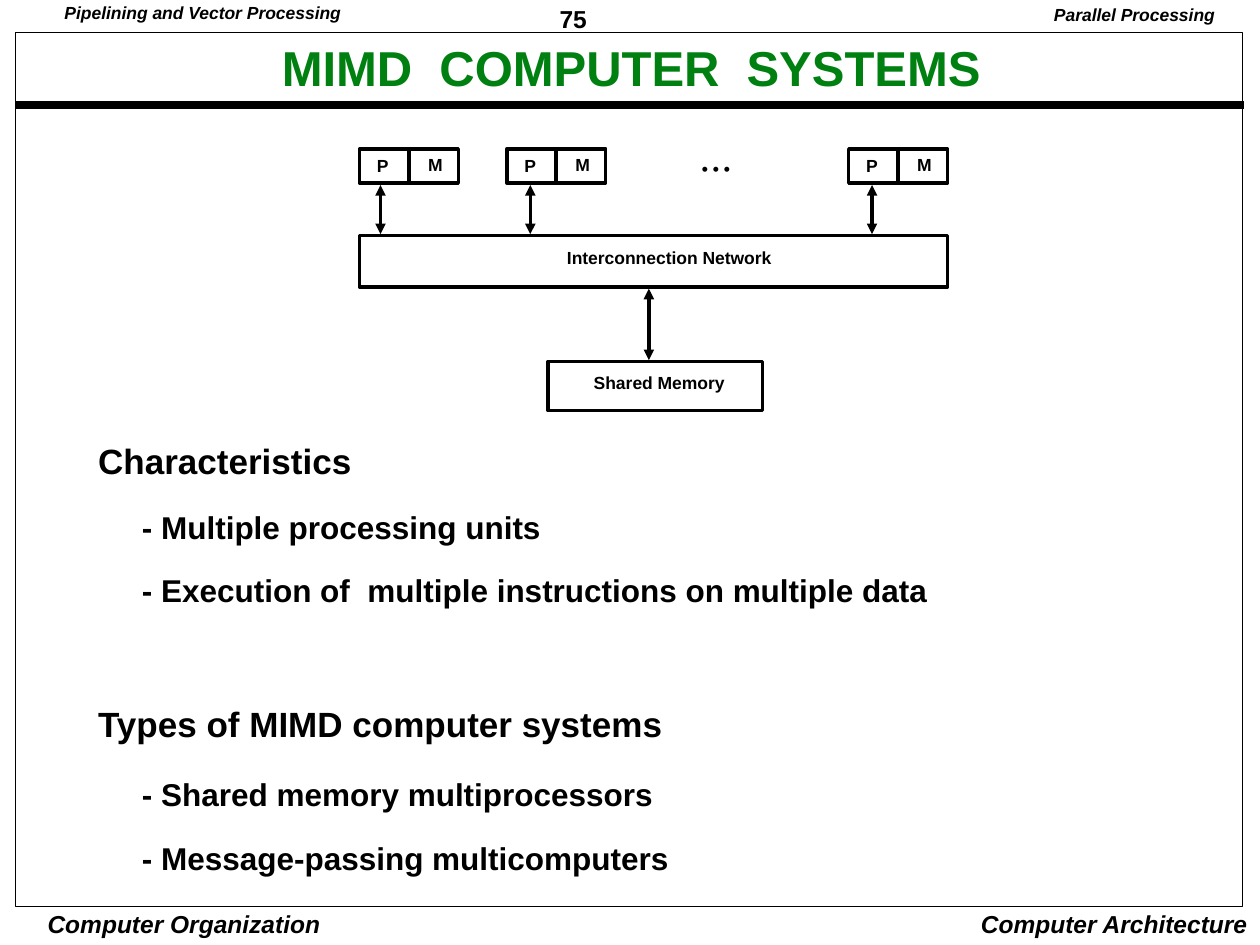
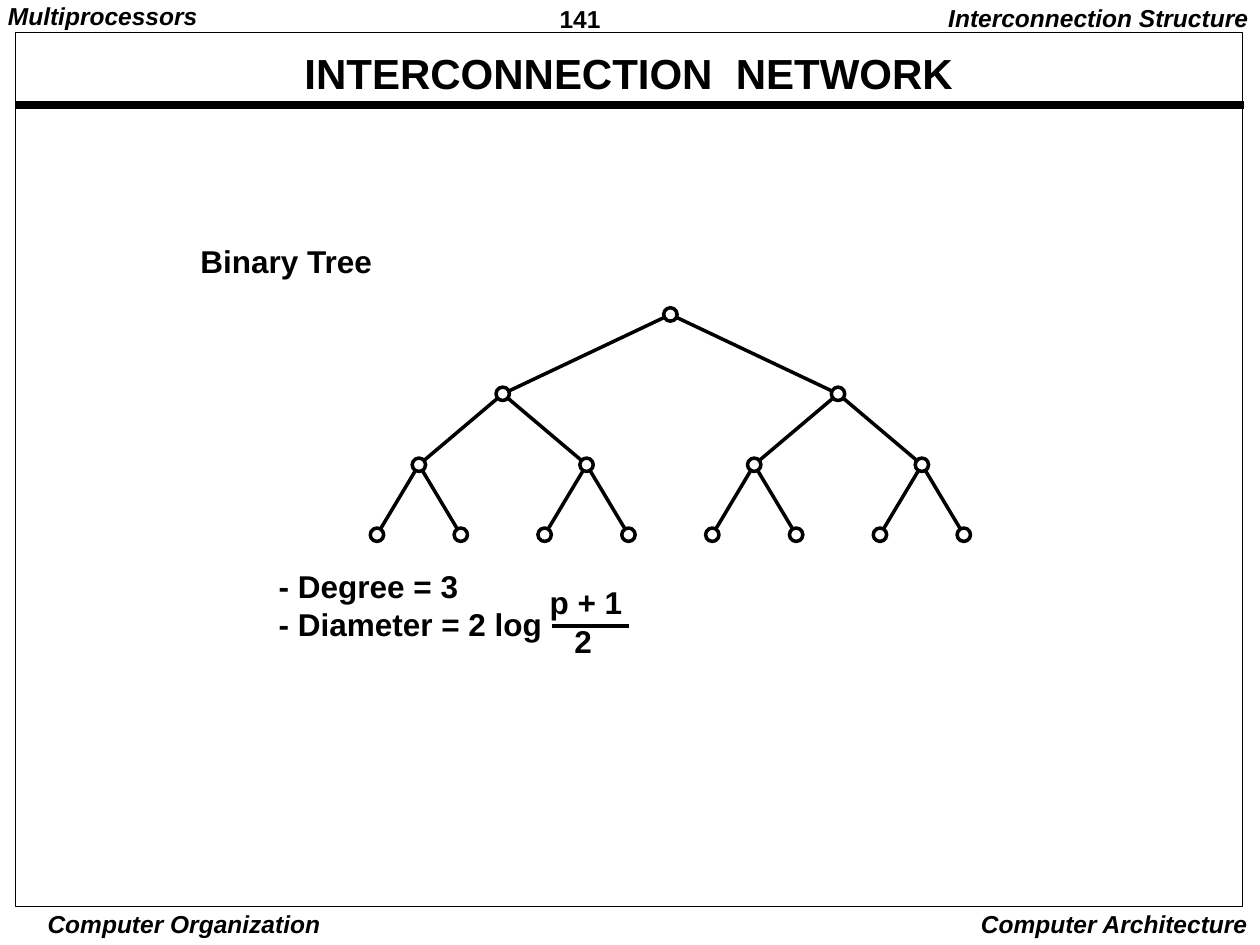
from pptx import Presentation
from pptx.dml.color import RGBColor
from pptx.enum.shapes import MSO_CONNECTOR as CONN, MSO_SHAPE as SHAPE
from pptx.enum.text import MSO_ANCHOR as ANCHOR, MSO_AUTO_SIZE as AUTO, PP_ALIGN as ALIGN
from pptx.oxml.ns import qn
from pptx.util import Cm, Pt
from lxml.etree import SubElement

BLACK, WHITE, GREEN = "000000", "FFFFFF", "008011"
WIDE_INSET, THIN_INSET = (0.25, 0.13), (0.08, 0.03)


def rgb(value):
    return RGBColor.from_string(value)


class Deck:
    font = "Arial"
    inset = (0.18, 0.08)

    def __init__(self):
        self.prs = Presentation()
        self.prs.slide_width, self.prs.slide_height = Cm(25.4), Cm(19.05)
        self.s = None

    def new_slide(self, number, title, box, size, color=BLACK):
        self.s = self.prs.slides.add_slide(self.prs.slide_layouts[5])
        self.text(11.1, 0, 2.74, 0.74, number, 14, spacing=1.01)
        self.text(0.63, 18.29, 6.16, 0.66, "Computer Organization", 14, italic=True,
                  align=ALIGN.CENTER, spacing=1, inset=THIN_INSET)
        self.text(19.2, 18.2, 6.2, 0.84, "Computer Architecture", 14, italic=True,
                  align=ALIGN.RIGHT, spacing=1, inset=WIDE_INSET)
        self.line(0.32, 2.11, 25.07, 2.11, 4.5)
        self.shape(SHAPE.RECTANGLE, 0.32, 0.66, 24.73, 17.62, 0.5)
        self.title(title, box, size, color)

    def title(self, text, box, size, color):
        sp = self.s.shapes.title
        sp.left, sp.top, sp.width, sp.height = map(Cm, box)
        tf = sp.text_frame
        tf.auto_size, tf.vertical_anchor = AUTO.NONE, ANCHOR.MIDDLE
        p = tf.paragraphs[0]
        p.alignment, p.line_spacing = ALIGN.CENTER, 0.9
        self.run(p, text, size, color)

    def run(self, p, text, size, color=BLACK, italic=False):
        r = p.add_run()
        r.text = text
        f = r.font
        f.name, f.size, f.bold, f.italic = self.font, Pt(size), True, italic
        f.color.rgb = rgb(color)

    def frame(self, x, y, w, h, inset=None):
        tf = self.s.shapes.add_textbox(Cm(x), Cm(y), Cm(w), Cm(h)).text_frame
        tf.word_wrap, tf.auto_size = True, AUTO.NONE
        dx, dy = map(Cm, inset or self.inset)
        tf.margin_left = tf.margin_right = dx
        tf.margin_top = tf.margin_bottom = dy
        return tf

    def text(self, x, y, w, h, text, size, italic=False, align=ALIGN.LEFT,
             spacing=0.9, inset=None):
        p = self.frame(x, y, w, h, inset).paragraphs[0]
        p.alignment, p.line_spacing = align, spacing
        self.run(p, text, size, italic=italic)

    def outline(self, x, y, w, h, items, spacing):
        tf = self.frame(x, y, w, h)
        for i, (text, size, indent, before) in enumerate(items):
            p = tf.paragraphs[0] if i == 0 else tf.add_paragraph()
            p._p.get_or_add_pPr().set("marL", str(Pt(indent)))
            p.line_spacing, p.space_before = spacing, Pt(before)
            self.run(p, text, size)

    def shape(self, kind, x, y, w, h, weight=2, fill=None):
        sp = self.s.shapes.add_shape(kind, Cm(x), Cm(y), Cm(w), Cm(h))
        sp.shadow.inherit = False
        if fill:
            sp.fill.solid()
            sp.fill.fore_color.rgb = rgb(fill)
        else:
            sp.fill.background()
        sp.line.color.rgb, sp.line.width = rgb(BLACK), Pt(weight)

    def line(self, x1, y1, x2, y2, weight=2, arrows=False):
        c = self.s.shapes.add_connector(CONN.STRAIGHT, Cm(x1), Cm(y1), Cm(x2), Cm(y2))
        c.line.color.rgb, c.line.width = rgb(BLACK), Pt(weight)
        if arrows:
            ln = c.line._get_or_add_ln()
            for end in ("a:headEnd", "a:tailEnd"):
                SubElement(ln, qn(end), type="triangle")
        SubElement(c._element.spPr, qn("a:effectLst"))

    def processor(self, x, arrow_x):
        self.shape(SHAPE.RECTANGLE, x, 3, 1.99, 0.69)
        self.line(x + 0.99, 2.97, x + 0.99, 3.73)
        self.text(x + 0.17, 3.1, 0.8, 0.53, "P", 10)
        self.text(x + 1.2, 3.07, 0.9, 0.53, "M", 10)
        self.line(arrow_x, 3.73, arrow_x, 4.72, arrows=True)

    def tree(self, left, step, levels, diameter):
        leaves = 2 ** (len(levels) - 1)
        rows = []
        for depth, y in enumerate(levels):
            span = leaves / 2 ** depth
            rows.append([(left + step * ((i + 0.5) * span - 0.5), y)
                         for i in range(2 ** depth)])
        for parents, children in zip(rows, rows[1:]):
            for i, child in enumerate(children):
                self.line(*parents[i // 2], *child)
        for x, y in sum(rows, []):
            self.shape(SHAPE.OVAL, x - diameter / 2, y - diameter / 2,
                       diameter, diameter, fill=WHITE)


def mimd_slide(deck):
    deck.new_slide("75", "MIMD  COMPUTER  SYSTEMS", (2.16, 0.72, 21.13, 1.4), 28, GREEN)
    deck.text(20.74, 0, 4, 0.64, "Parallel Processing", 10, italic=True,
              align=ALIGN.RIGHT, inset=WIDE_INSET)
    deck.text(1.12, 0, 6.3, 0.53, "Pipelining and Vector Processing", 10, italic=True)
    for x, arrow_x in ((7.25, 7.67), (10.22, 10.69), (17.11, 17.58)):
        deck.processor(x, arrow_x)
    deck.text(13.97, 3.15, 1.4, 0.53, "• • •", 10)
    deck.shape(SHAPE.RECTANGLE, 7.25, 4.75, 11.85, 1.04)
    deck.text(11.25, 4.95, 5, 0.53, "Interconnection Network", 10)
    deck.line(13.08, 5.82, 13.08, 7.26, arrows=True)
    deck.shape(SHAPE.RECTANGLE, 11.05, 7.29, 4.32, 0.99)
    deck.text(11.79, 7.47, 3.4, 0.53, "Shared Memory", 10)
    deck.outline(1.8, 8.92, 18.2, 8.84, [
        ("Characteristics", 20, 0, 0),
        ("- Multiple processing units", 18, 25, 18),
        ("- Execution of  multiple instructions on multiple data", 18, 25, 18),
        ("Types of MIMD computer systems", 20, 0, 57),
        ("- Shared memory multiprocessors", 18, 25, 20.5),
        ("- Message-passing multicomputers", 18, 25, 18),
    ], 0.85)


def tree_slide(deck):
    deck.new_slide("141", "INTERCONNECTION  NETWORK", (0.46, 0.86, 24.43, 1.35), 24)
    deck.text(18.42, 0, 7, 0.79, "Interconnection Structure", 14, italic=True,
              align=ALIGN.RIGHT, inset=WIDE_INSET)
    deck.text(-0.02, 0, 4.6, 0.69, "Multiprocessors", 14, italic=True)
    deck.text(3.86, 4.8, 4.2, 0.91, "Binary Tree", 18, spacing=1.01)
    deck.tree(7.6, 1.69, (6.34, 7.94, 9.37, 10.78), 0.27)
    deck.outline(5.44, 11.35, 6, 1.68, [
        ("- Degree = 3", 18, 0, 0),
        ("- Diameter = 2 log", 18, 0, 0),
    ], 1.01)
    deck.text(10.9, 11.75, 2.2, 0.84, "p + 1", 18)
    deck.line(11.13, 12.62, 12.67, 12.62)
    deck.text(11.4, 12.54, 0.9, 0.84, "2", 18)


def main():
    deck = Deck()
    mimd_slide(deck)
    tree_slide(deck)
    deck.prs.save("out.pptx")


if __name__ == "__main__":
    main()
